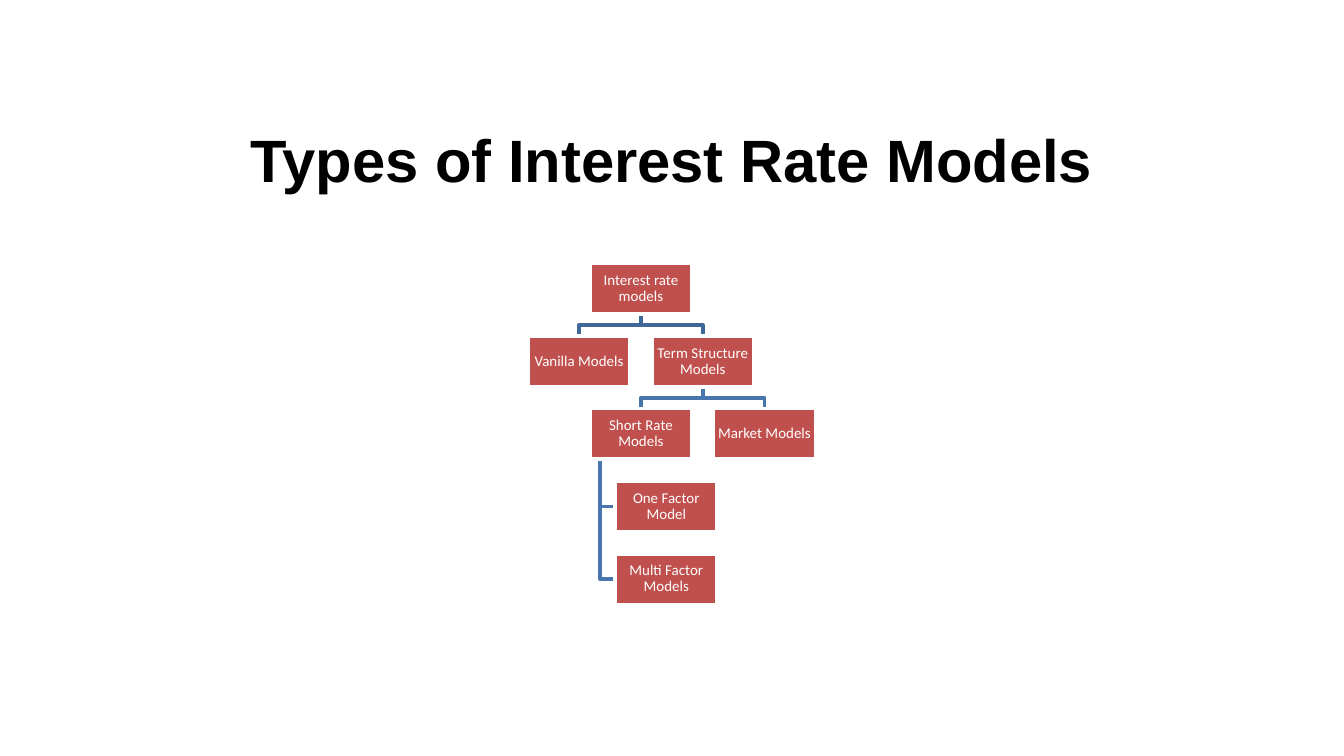
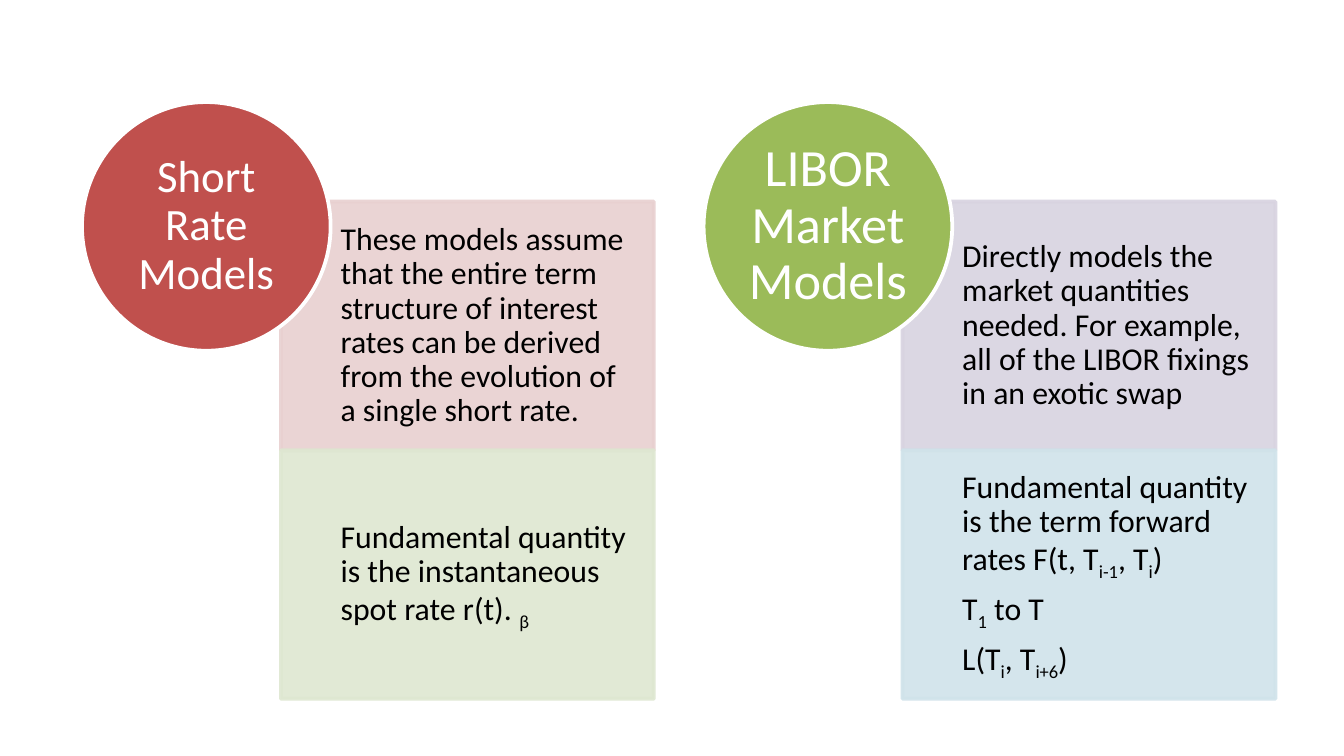
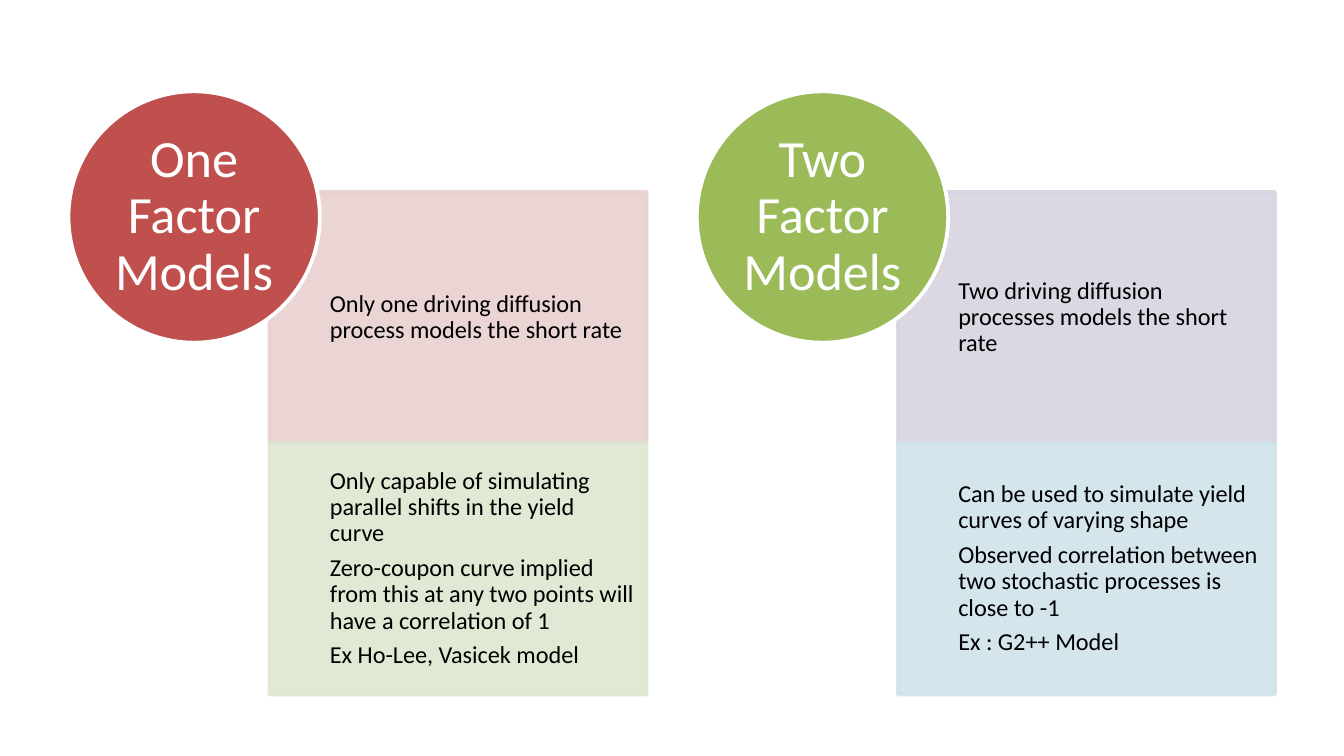
import lxml.etree
import pptx
import pptx.dml.color
import pptx.enum.shapes
import pptx.enum.text
import pptx.oxml.ns
import pptx.util

COLORS = {
    "black": "000000", "white": "FFFFFF", "red": "C0504D", "green": "9BBB59",
    "upper": "3F6797", "lower": "4875AC",
    "rose": "E8D0D0", "sage": "DEE7D1", "lilac": "D8D3E0", "sky": "D0E3EA",
}
WIDTH = 10
HEIGHT = WIDTH * 9 / 16
TITLE_ONLY, BLANK = 5, 6
SHAPE = pptx.enum.shapes.MSO_SHAPE
ALIGN = pptx.enum.text.PP_ALIGN
MIDDLE = pptx.enum.text.MSO_ANCHOR.MIDDLE


def rgb(name):
    return pptx.dml.color.RGBColor.from_string(COLORS[name])


class Deck:
    """Shared style, the current slide and its grid."""

    def __init__(self):
        self.prs = pptx.Presentation()
        self.prs.slide_width = pptx.util.Inches(WIDTH)
        self.prs.slide_height = pptx.util.Inches(HEIGHT)

    def new_slide(self, layout):
        self.slide = self.prs.slides.add_slide(self.prs.slide_layouts[layout])
        self.grid(0, 0, WIDTH, HEIGHT)

    def grid(self, left, top, col, row):
        """Set the grid's corner and cell size in inches."""
        self.left, self.top, self.col, self.row = left, top, col, row

    def point(self, x, y):
        return (pptx.util.Inches(self.left + x * self.col),
                pptx.util.Inches(self.top + y * self.row))

    def size(self, w, h):
        return pptx.util.Inches(w * self.col), pptx.util.Inches(h * self.row)

    def title(self, text, x, y, w, h):
        sp = self.slide.shapes.title
        sp.left, sp.top = self.point(x, y)
        sp.width, sp.height = self.size(w, h)
        tf = sp.text_frame
        tf.text = text
        tf.vertical_anchor = MIDDLE
        p = tf.paragraphs[0]
        p.alignment = ALIGN.CENTER
        self.font(p, "Arial", 32, "black", bold=True)

    def font(self, p, name, size, color, bold=False):
        p.font.name, p.font.size, p.font.bold = name, pptx.util.Pt(size), bold
        p.font.color.rgb = rgb(color)

    def shape(self, kind, x, y, w, h, fill, line, alpha=None):
        sp = self.slide.shapes.add_shape(kind, *self.point(x, y), *self.size(w, h))
        sp.shadow.inherit = False
        sp.fill.solid()
        sp.fill.fore_color.rgb = rgb(fill)
        sp.line.color.rgb = rgb(line)
        sp.line.width = pptx.util.Pt(2)
        if alpha:
            for clr in sp._element.spPr.iter(pptx.oxml.ns.qn("a:srgbClr")):
                lxml.etree.SubElement(clr, pptx.oxml.ns.qn("a:alpha"), val=str(alpha * 1000))
        return sp

    def text(self, sp, paragraphs, size, color, align, insets):
        """Fill a shape with text; parts between bars are subscripts."""
        tf = sp.text_frame
        tf.word_wrap = True
        tf.vertical_anchor = MIDDLE
        (tf.margin_left, tf.margin_top, tf.margin_right,
         tf.margin_bottom) = [pptx.util.Inches(i) for i in insets]
        for i, content in enumerate(paragraphs):
            p = tf.add_paragraph() if i else tf.paragraphs[0]
            p.alignment = align
            p.line_spacing = 0.9
            p.space_after = pptx.util.Pt(0.35 * size)
            self.font(p, "Calibri", size, color)
            for j, part in enumerate(content.split("|")):
                if part:
                    r = p.add_run()
                    r.text = part
                    if j % 2:
                        r._r.get_or_add_rPr().set("baseline", "-25000")

    def node(self, text, x, y, w, h):
        sp = self.shape(SHAPE.RECTANGLE, x, y, w, h, "red", "white")
        self.text(sp, [text], 8, "white", ALIGN.CENTER, [0.01] * 4)

    def circle(self, text, x, y, size, color):
        sp = self.shape(SHAPE.OVAL, x, y, 1, 1, color, "white")
        self.text(sp, [text], size, "white", ALIGN.CENTER, [0] * 4)

    def panel(self, paragraphs, x, y, size, color, pad):
        sp = self.shape(SHAPE.RECTANGLE, x, y, 1.5, 1, color, color, alpha=90)
        self.text(sp, paragraphs, size, "black", ALIGN.LEFT,
                  [0.24 * self.col, pad, pad, pad])

    def path_line(self, points, color):
        start, *rest = [self.point(x, y) for x, y in points]
        fb = self.slide.shapes.build_freeform(*start, scale=1.0)
        fb.add_line_segments(rest, close=False)
        sp = fb.convert_to_shape()
        sp.shadow.inherit = False
        sp.fill.background()
        sp.line.color.rgb = rgb(color)
        sp.line.width = pptx.util.Pt(2)


def model_tree(deck):
    deck.new_slide(TITLE_ONLY)
    deck.title("Types of Interest Rate Models", 0.05, 0.13, 0.9, 0.16)

    # Each node: column and row on the tree's grid
    deck.grid(3.93, 1.96, 0.46, 0.54)
    w, h = 1.65, 0.7
    nodes = {
        "Interest rate models": (1, 0),
        "Vanilla Models": (0, 1),
        "Term Structure Models": (2, 1),
        "Short Rate Models": (1, 2),
        "One Factor Model": (1.41, 3),
        "Multi Factor Models": (1.41, 4),
        "Market Models": (3, 2),
    }

    # Branches split to both sides of the parent
    for parent, child, color in [
        ("Term Structure Models", "Market Models", "lower"),
        ("Term Structure Models", "Short Rate Models", "lower"),
        ("Interest rate models", "Term Structure Models", "upper"),
        ("Interest rate models", "Vanilla Models", "upper"),
    ]:
        (px, py), (cx, cy) = nodes[parent], nodes[child]
        px, cx, mid = px + w / 2, cx + w / 2, (py + h + cy) / 2
        deck.path_line([(px, py + h), (px, mid), (cx, mid), (cx, cy)], color)

    # Factor models hang below the short rate models
    px, py = nodes["Short Rate Models"]
    stem = px + w / 10
    for child in ("Multi Factor Models", "One Factor Model"):
        cx, cy = nodes[child]
        deck.path_line([(stem, py + h), (stem, cy + h / 2), (cx, cy + h / 2)], "lower")

    for text, (x, y) in nodes.items():
        deck.node(text, x, y, w, h)


def comparison(deck, left, top, diameter, size, pad, groups):
    """Two groups of stacked panels; one grid cell is one circle."""
    deck.new_slide(BLANK)
    deck.grid(left, top, diameter, diameter)
    styles = [("red", "rose", "sage"), ("green", "lilac", "sky")]
    for i, ((name, name_size, panels), colors) in enumerate(zip(groups, styles)):
        x = 2.5 * i
        for row, paragraphs in enumerate(panels):
            deck.panel(paragraphs, x + 0.8, row + 0.4, size, colors[row + 1], pad)
        deck.circle(name, x, 0, name_size, colors[0])


def main():
    deck = Deck()
    model_tree(deck)
    comparison(deck, 0.61, 0.76, 1.85, 17, 0.13, [
        ("Short Rate Models", 24, [
            ["These models assume that the entire term structure of interest rates "
             "can be derived from the evolution of a single short rate."],
            ["Fundamental quantity is the instantaneous spot rate r(t). |β|"],
        ]),
        ("LIBOR Market Models", 28, [
            ["Directly models the market quantities needed. For example, all of the "
             "LIBOR fixings in an exotic swap"],
            ["Fundamental quantity is the term forward rates F(t, T|i-1|, T|i|)",
             "T|1| to T",
             "L(T|i|, T|i+6|)"],
        ]),
    ])
    comparison(deck, 0.51, 0.68, 1.87, 13, 0.1, [
        ("One Factor Models", 28, [
            ["Only one driving diffusion process models the short rate"],
            ["Only capable of simulating parallel shifts in the yield curve",
             "Zero-coupon curve implied from this at any two points will have a "
             "correlation of 1",
             "Ex Ho-Lee, Vasicek model"],
        ]),
        ("Two Factor Models", 28, [
            ["Two driving diffusion processes models the short rate"],
            ["Can be used to simulate yield curves of varying shape",
             "Observed correlation between two stochastic processes is close to -1",
             "Ex : G2++ Model"],
        ]),
    ])
    deck.prs.save("out.pptx")


if __name__ == "__main__":
    main()
